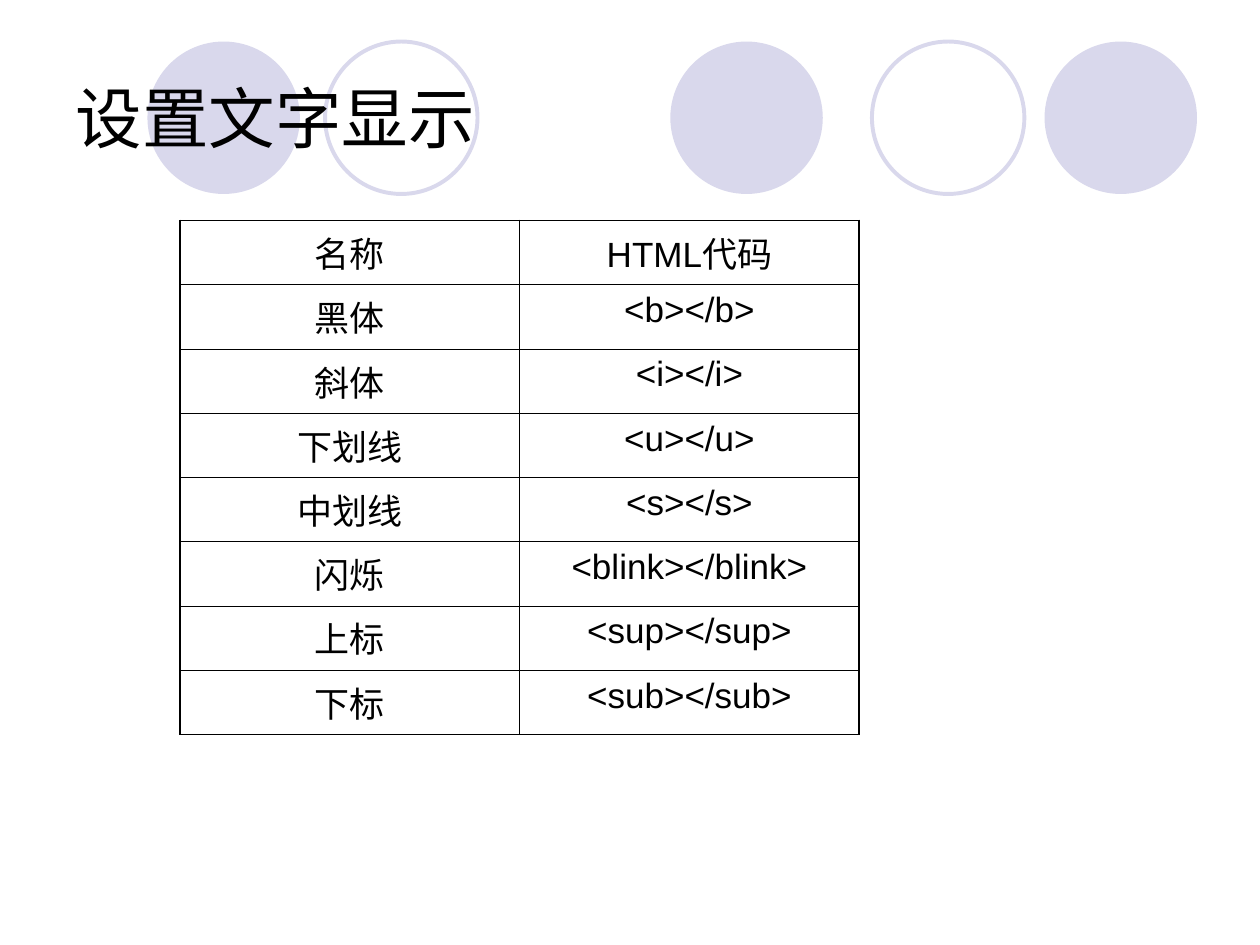
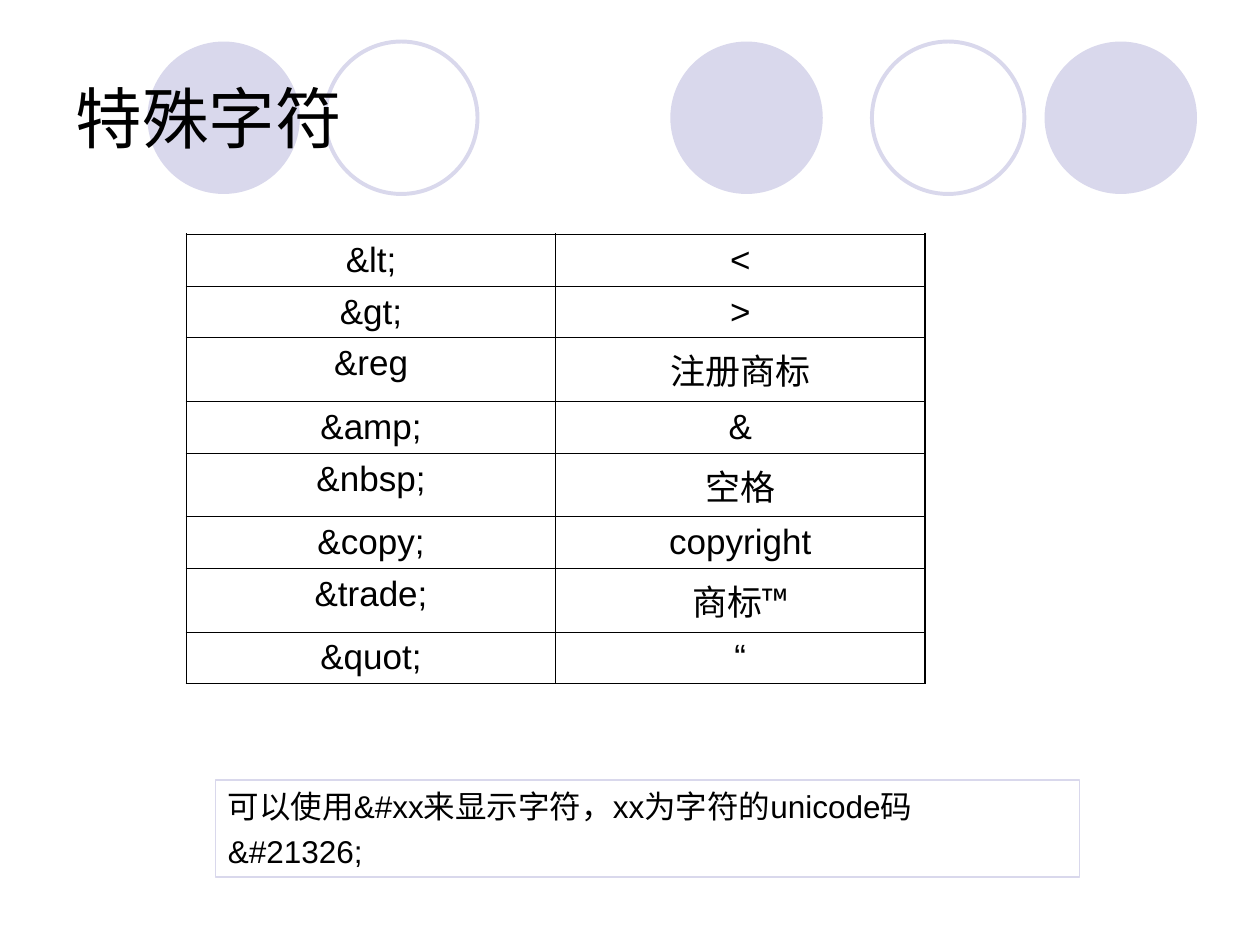
from dataclasses import dataclass

from lxml import etree
from pptx import Presentation, util as u
from pptx.dml.color import RGBColor
from pptx.enum import shapes, text
from pptx.oxml.ns import qn

COLS, ROWS = 100, 75  # the slide as a grid of square units
UNIT = u.Inches(0.1)
INK, LILAC = "000000", "D9D8EC"
THICK, THIN = 1.08, 0.45
CIRCLE_SIZE = 12.1
TITLE_BOX = (5, 3, 90, 12.5)


@dataclass(frozen=True)
class Circle:
    left: float
    filled: bool


@dataclass(frozen=True)
class CodeTable:
    left: float
    top: float
    col_width: float
    row_heights: list[float]
    rows: list[tuple[str, str]]


@dataclass(frozen=True)
class Note:
    box: tuple[float, float, float, float]
    lines: list[str]


CIRCLES = [Circle(53.2, True), Circle(82.9, True), Circle(11.7, True),
           Circle(69.2, False), Circle(25.8, False)]

TEXT_STYLES = CodeTable(14.3, 17.5, 26.95, [5.1] * 8, [
    ("名称", "HTML代码"),
    ("黑体", "<b></b>"),
    ("斜体", "<i></i>"),
    ("下划线", "<u></u>"),
    ("中划线", "<s></s>"),
    ("闪烁", "<blink></blink>"),
    ("上标", "<sup></sup>"),
    ("下标", "<sub></sub>"),
])

ENTITIES = CodeTable(14.8, 18.6, 29.3, [4.1, 4.1, 5.05, 4.1, 5.05, 4.1, 5.05, 4.1], [
    ("&lt;", "<"),
    ("&gt;", ">"),
    ("&reg", "注册商标"),
    ("&amp;", "&"),
    ("&nbsp;", "空格"),
    ("&copy;", "copyright"),
    ("&trade;", "商标™"),
    ("&quot;", "“"),
])

UNICODE_NOTE = Note((17.1, 61.9, 68.6, 7.7),
                    ["可以使用&#xx来显示字符，xx为字符的unicode码", "&#21326;"])


def units(*counts: float) -> list[int]:
    """Turn grid units into slide lengths."""
    return [round(n * UNIT) for n in counts]


def rgb(value: str) -> RGBColor:
    return RGBColor.from_string(value)


def apply(target, **values) -> None:
    for name, value in values.items():
        setattr(target, name, value)


def write(p, words: str, size: float, align=text.PP_ALIGN.LEFT) -> None:
    p.alignment = align
    r = p.add_run()
    r.text = words
    apply(r.font, name="Arial", size=u.Pt(size))
    r.font.color.rgb = rgb(INK)


def add_circles(s, layout) -> None:
    """Draw the band of circles and move it behind everything on the layout."""
    for i, circle in enumerate(CIRCLES):
        sp = s.shapes.add_shape(shapes.MSO_SHAPE.OVAL,
                                *units(circle.left, 3.3, CIRCLE_SIZE, CIRCLE_SIZE))
        sp.shadow.inherit = False
        if circle.filled:
            sp.fill.solid()
            sp.fill.fore_color.rgb = rgb(LILAC)
            sp.line.fill.background()
        else:
            sp.fill.background()
            sp.line.color.rgb = rgb(LILAC)
            sp.line.width = u.Pt(2.25)
        sp.element.nvSpPr.cNvPr.id = 20 + i
        layout.shapes.element.insert(2 + i, sp.element)


def add_title(s, words: str) -> None:
    sp = s.shapes.title
    apply(sp, **dict(zip(("left", "top", "width", "height"), units(*TITLE_BOX))))
    tf = sp.text_frame
    apply(tf, vertical_anchor=text.MSO_ANCHOR.MIDDLE, auto_size=text.MSO_AUTO_SIZE.NONE)
    write(tf.paragraphs[0], words, 38)


def add_borders(cell, **widths: float) -> None:
    """Line the sides of a cell; widths are points, in the order L, R, T, B."""
    tc_pr = cell._tc.get_or_add_tcPr()
    for i, (side, width) in enumerate(widths.items()):
        ln = etree.Element(qn(f"a:ln{side}"), w=str(u.Pt(width)))
        fill = etree.SubElement(ln, qn("a:solidFill"))
        etree.SubElement(fill, qn("a:srgbClr"), val=INK)
        tc_pr.insert(i, ln)


def add_code_table(s, spec: CodeTable) -> None:
    n_rows, n_cols = len(spec.rows), len(spec.rows[0])
    frame = s.shapes.add_table(n_rows, n_cols, *units(
        spec.left, spec.top, n_cols * spec.col_width, sum(spec.row_heights)))
    table = frame.table
    apply(table, first_row=False, horz_banding=False)
    for column in table.columns:
        column.width, = units(spec.col_width)
    for i, (height, words) in enumerate(zip(spec.row_heights, spec.rows)):
        table.rows[i].height, = units(height)
        for j, word in enumerate(words):
            cell = table.cell(i, j)
            cell.fill.background()
            add_borders(cell,
                        L=THICK if j == 0 else THIN,
                        R=THICK if j == n_cols - 1 else THIN,
                        T=THICK if i == 0 else THIN,
                        B=THICK if i == n_rows - 1 else THIN)
            write(cell.text_frame.paragraphs[0], word, 20, text.PP_ALIGN.CENTER)


def add_note(s, note: Note) -> None:
    sp = s.shapes.add_textbox(*units(*note.box))
    sp.line.color.rgb = rgb(LILAC)
    sp.line.width = u.Pt(0.75)
    tf = sp.text_frame
    apply(tf, word_wrap=True, vertical_anchor=text.MSO_ANCHOR.MIDDLE)
    for i, line in enumerate(note.lines):
        p = tf.add_paragraph() if i else tf.paragraphs[0]
        p.space_after = u.Pt(4.5)
        write(p, line, 18)


def main() -> None:
    prs = Presentation()
    prs.slide_width, prs.slide_height = units(COLS, ROWS)
    layout = prs.slide_layouts.get_by_name("Title Only")

    s = prs.slides.add_slide(layout)
    add_circles(s, layout)
    add_title(s, "设置文字显示")
    add_code_table(s, TEXT_STYLES)

    s = prs.slides.add_slide(layout)
    add_title(s, "特殊字符")
    add_code_table(s, ENTITIES)
    add_note(s, UNICODE_NOTE)

    prs.save("out.pptx")


if __name__ == "__main__":
    main()
